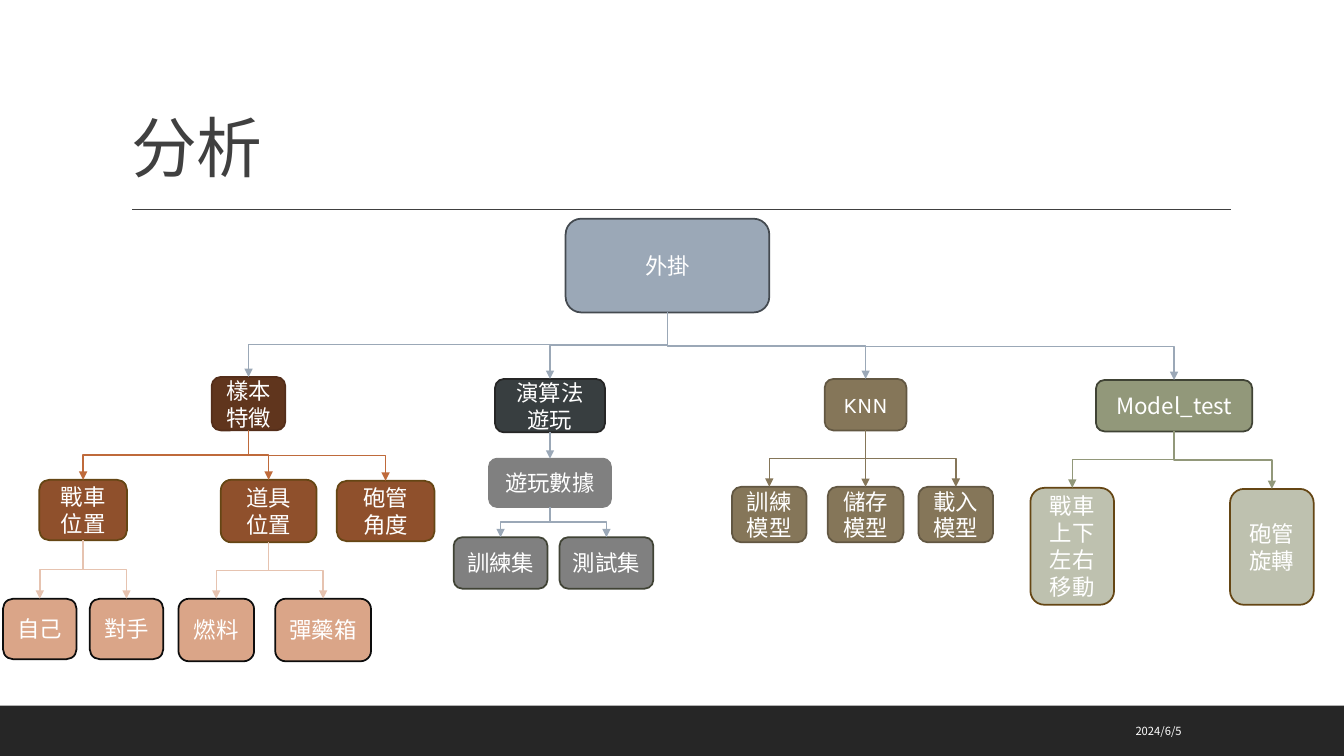
"""Build the analysis slide: a tree of the plug-in's parts."""
from dataclasses import dataclass

from lxml import etree
from pptx import Presentation
from pptx.dml.color import RGBColor
from pptx.enum import shapes, text
from pptx.oxml.ns import qn
from pptx.util import Inches, Pt

TITLE = "分析"
DATE = "2024/6/5"

NODES = [
    ("外掛", None, "root", (5.61, 2.17, 2.02, 0.93)),
    ("樣本\n特徵", "外掛", "sample", (2.1, 3.74, 0.73, 0.53)),
    ("演算法遊玩", "外掛", "algorithm", (4.91, 3.76, 1.09, 0.53)),
    ("KNN", "外掛", "knn", (8.18, 3.76, 0.81, 0.51)),
    ("Model_test", "外掛", "test", (10.87, 3.77, 1.55, 0.51)),
    ("戰車位置", "樣本\n特徵", "feature", (0.39, 4.76, 0.87, 0.6)),
    ("道具\n位置", "樣本\n特徵", "feature", (2.19, 4.76, 0.95, 0.62)),
    ("砲管\n角度", "樣本\n特徵", "feature", (3.34, 4.77, 0.97, 0.6)),
    ("自己", "戰車位置", "item", (0.03, 5.94, 0.73, 0.6)),
    ("對手", "戰車位置", "item", (0.89, 5.94, 0.73, 0.6)),
    ("燃料", "道具\n位置", "item", (1.77, 5.94, 0.75, 0.62)),
    ("彈藥箱", "道具\n位置", "item", (2.73, 5.94, 0.95, 0.62)),
    ("遊玩數據", "演算法遊玩", "data", (4.85, 4.55, 1.21, 0.48)),
    ("訓練集", "遊玩數據", "dataset", (4.5, 5.33, 0.93, 0.51)),
    ("測試集", "遊玩數據", "dataset", (5.55, 5.33, 0.93, 0.51)),
    ("訓練\n模型", "KNN", "knn", (7.26, 4.83, 0.74, 0.55)),
    ("儲存\n模型", "KNN", "knn", (8.21, 4.83, 0.75, 0.55)),
    ("載入\n模型", "KNN", "knn", (9.11, 4.83, 0.74, 0.55)),
    ("戰車\n上下左右移動", "Model_test", "action", (10.22, 4.84, 0.83, 1.16)),
    ("砲管旋轉", "Model_test", "action", (12.2, 4.85, 0.83, 1.15)),
]


@dataclass(frozen=True)
class Style:
    """Colours of a node and of the arrows that leave it."""
    fill: str
    edge: str
    arrow: str = ""
    font: str = "Noto Sans CJK SC"


class Theme:
    """Colours, fonts and sizes of the slide."""
    font, date_font = "Noto Sans CJK SC", "Noto Sans CJK TC"
    white, ink, band = "FFFFFF", "404040", "262626"
    title_size, node_size, date_size = 47, 16, 8
    edge_width, arrow_width = 1.25, 1
    nodes = {
        "root": Style("9BA8B7", "444A50", "9BA8B7"),
        "sample": Style("60351D", "542E1A", "BF6A3B"),
        "feature": Style("8F502C", "654614", "E6C3B0"),
        "item": Style("DAA588", "0D0D0D"),
        "algorithm": Style("383E40", "262626", "9BA8B7"),
        "data": Style("808080", "808080", "9BA8B7"),
        "dataset": Style("808080", "404335"),
        "knn": Style("857659", "625742", "857659", "Karla"),
        "test": Style("92987A", "404335", "92987A"),
        "action": Style("BEC1AF", "654614"),
    }


def rgb(code):
    """Turn a hex code into a colour."""
    return RGBColor.from_string(code)


def write(frame, words, size, color, font, align, east_asian=Theme.font):
    """Put words in a frame and format every run."""
    frame.text = words
    for paragraph in frame.paragraphs:
        paragraph.alignment = align
        for run in paragraph.runs:
            run.font.size = Pt(size)
            run.font.color.rgb = rgb(color)
            run.font.name = font
            etree.SubElement(run.font._element, qn("a:ea"), typeface=east_asian)


def add_box(slide, kind, box, fill, edge=None):
    """Add a filled shape without a shadow."""
    shape = slide.shapes.add_shape(kind, *map(Inches, box))
    shape.shadow.inherit = False
    shape.fill.solid()
    shape.fill.fore_color.rgb = rgb(fill)
    if edge:
        shape.line.color.rgb = rgb(edge)
        shape.line.width = Pt(Theme.edge_width)
    else:
        shape.line.fill.background()
    return shape


def add_line(slide, kind, start, end, color, arrow=False):
    """Add a connector without a shadow."""
    line = slide.shapes.add_connector(kind, *start, *end)
    line.line.color.rgb = rgb(color)
    line.line.width = Pt(Theme.arrow_width)
    properties = line._element.spPr
    if arrow:
        etree.SubElement(properties.find(qn("a:ln")), qn("a:tailEnd"), type="triangle")
    etree.SubElement(properties, qn("a:effectLst"))
    return line


def link(slide, parent, child, color):
    """Draw an arrow from a parent's bottom to a child's top."""
    x1, y1 = parent.left + parent.width // 2, parent.top + parent.height
    x2, y2 = child.left + child.width // 2, child.top
    across, down = abs(x2 - x1), y2 - y1
    straight = across < Inches(0.02)
    kind = shapes.MSO_CONNECTOR.STRAIGHT if straight else shapes.MSO_CONNECTOR.ELBOW
    arrow = add_line(slide, kind, (x1, y1), (x2, y2), color, arrow=True)
    arrow.begin_connect(parent, 2)
    arrow.end_connect(child, 0)
    if straight:
        return
    arrow.left, arrow.top = (x1 + x2 - down) // 2, (y1 + y2 - across) // 2
    arrow.width, arrow.height = down, across
    frame = arrow._element.spPr.find(qn("a:xfrm"))
    frame.attrib.pop("flipH", None)
    frame.set("rot", "16200000" if x2 > x1 else "5400000")
    if x2 > x1:
        frame.set("flipH", "1")


def add_frame(slide):
    """Add the title, the rule under it and the dated footer."""
    title = slide.shapes.title
    title.left, title.top, title.width, title.height = map(Inches, (1.2, 0.31, 11, 1.59))
    write(title.text_frame, TITLE, Theme.title_size, Theme.ink, Theme.font, text.PP_ALIGN.LEFT)
    title.text_frame.vertical_anchor = text.MSO_ANCHOR.BOTTOM
    heading = title.text_frame.paragraphs[0]
    heading.line_spacing = 0.9
    heading.runs[0].font._element.set("spc", "-50")
    add_line(slide, shapes.MSO_CONNECTOR.STRAIGHT, (Inches(1.31), Inches(2.08)),
             (Inches(12.21), Inches(2.08)), Theme.ink)
    add_box(slide, shapes.MSO_SHAPE.RECTANGLE, (0, 7, 13.33, 0.5), Theme.band)
    date = slide.shapes.add_textbox(*map(Inches, (8.99, 7.05, 2.83, 0.4))).text_frame
    date.word_wrap = True
    date.vertical_anchor = text.MSO_ANCHOR.MIDDLE
    write(date, DATE, Theme.date_size, Theme.white, Theme.date_font,
          text.PP_ALIGN.RIGHT, Theme.date_font)


def add_tree(slide):
    """Add the nodes and the arrows between them."""
    placed = {}
    for words, parent, kind, box in NODES:
        style = Theme.nodes[kind]
        node = add_box(slide, shapes.MSO_SHAPE.ROUNDED_RECTANGLE, box, style.fill, style.edge)
        node.text_frame.vertical_anchor = text.MSO_ANCHOR.MIDDLE
        write(node.text_frame, words, Theme.node_size, Theme.white, style.font,
              text.PP_ALIGN.CENTER)
        placed[words] = node, style
        if parent:
            source, source_style = placed[parent]
            link(slide, source, node, source_style.arrow)


def main():
    """Build and save the slide."""
    deck = Presentation()
    deck.slide_width, deck.slide_height = Inches(13.33), Inches(7.5)
    slide = deck.slides.add_slide(deck.slide_layouts[5])
    add_frame(slide)
    add_tree(slide)
    deck.save("out.pptx")


if __name__ == "__main__":
    main()
